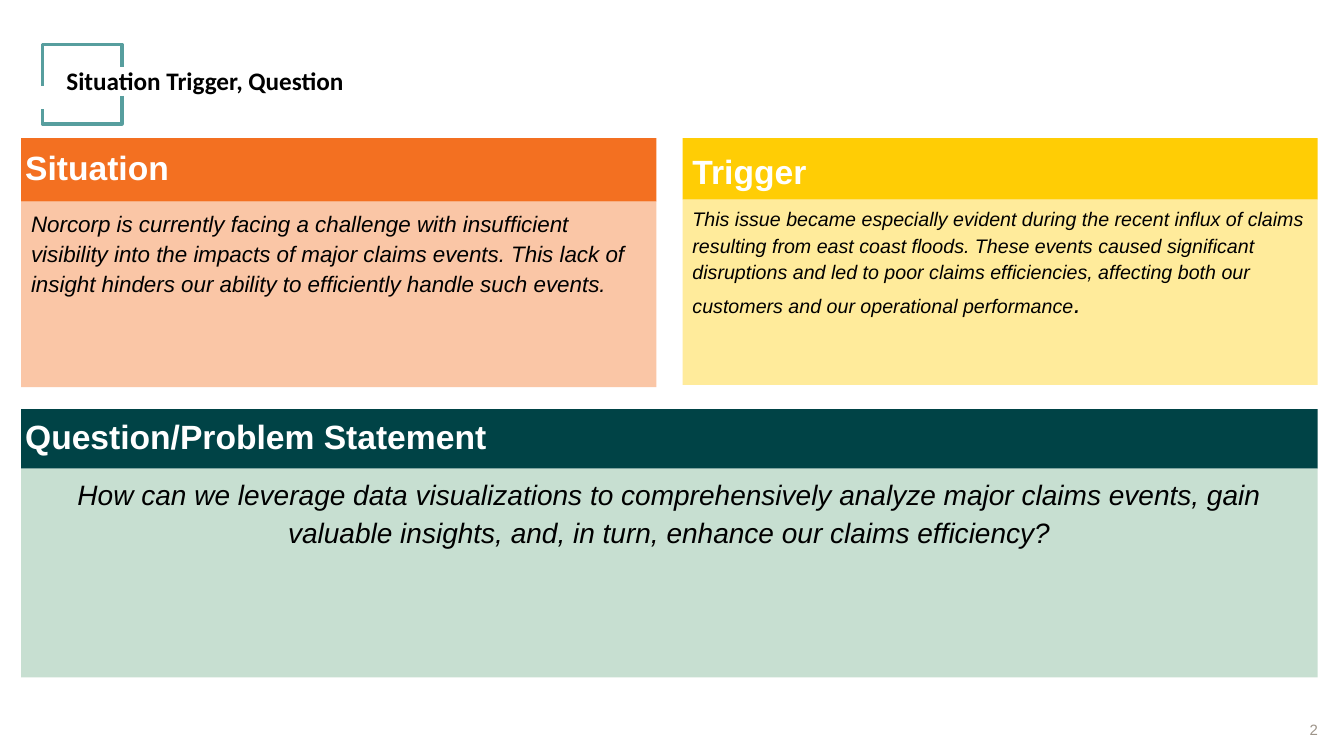
from pptx import Presentation
from pptx.dml.color import RGBColor
from pptx.enum.shapes import MSO_SHAPE
from pptx.enum.text import MSO_ANCHOR, PP_ALIGN
from pptx.util import Inches, Pt

COLORS = {
    "orange": "F37021", "peach": "FAC6A6",
    "yellow": "FFCD05", "cream": "FFEB9B",
    "green": "004346", "mint": "C7DFD1",
    "teal": "579E9E", "grey": "9D9489",
    "black": "000000", "white": "FFFFFF",
}


def color(name):
    return RGBColor.from_string(COLORS[name])


def write(box, text, size, ink, font="Arial", bold=False, italic=False,
          align=PP_ALIGN.LEFT, anchor=MSO_ANCHOR.TOP, margins=(0.1, 0.05)):
    frame = box.text_frame
    frame.word_wrap = True
    frame.vertical_anchor = anchor
    frame.margin_left = frame.margin_right = Inches(margins[0])
    frame.margin_top = frame.margin_bottom = Inches(margins[1])
    para = frame.paragraphs[0]
    para.text = text
    para.alignment = align
    for span in para.runs:
        span.font.name = font
        span.font.size = Pt(size)
        span.font.bold = bold
        span.font.italic = italic
        span.font.color.rgb = color(ink)
    return para


deck = Presentation()
deck.slide_width = Inches(13.33)
deck.slide_height = Inches(7.5)
page = deck.slides.add_slide(deck.slide_layouts[6])

tight, normal = (0.04, 0.04), (0.1, 0.05)
panels = [
    ("Question/Problem Statement", "green", "mint", 0.21, 4.06, 12.86, 0.59, 2.07,
     tight, 0.85, 20, PP_ALIGN.CENTER,
     "How can we leverage data visualizations to comprehensively analyze major claims "
     "events, gain valuable insights, and, in turn, enhance our claims efficiency?"),
    ("Situation", "orange", "peach", 0.21, 1.37, 6.3, 0.63, 1.84,
     tight, 0.85, 16, PP_ALIGN.LEFT,
     "Norcorp is currently facing a challenge with insufficient visibility into the "
     "impacts of major claims events. This lack of insight hinders our ability to "
     "efficiently handle such events."),
    ("Trigger", "yellow", "cream", 6.77, 1.37, 6.3, 0.61, 1.84,
     normal, 1.12, 14, PP_ALIGN.LEFT,
     "This issue became especially evident during the recent influx of claims resulting "
     "from east coast floods. These events caused significant disruptions and led to poor "
     "claims efficiencies, affecting both our customers and our operational performance"),
]
for (heading, dark, light, left, top, width, head_height, body_height,
     margins, spacing, size, align, text) in panels:
    header = page.shapes.add_shape(MSO_SHAPE.RECTANGLE, Inches(left), Inches(top),
                                   Inches(width), Inches(head_height))
    body = page.shapes.add_shape(MSO_SHAPE.RECTANGLE, Inches(left), Inches(top + head_height),
                                 Inches(width), Inches(body_height))
    for box, fill in ((header, dark), (body, light)):
        box.shadow.inherit = False
        box.fill.solid()
        box.fill.fore_color.rgb = color(fill)
        box.line.fill.background()
    para = write(header, heading, 24, "white", bold=True,
                 anchor=MSO_ANCHOR.MIDDLE, margins=margins)
    para.line_spacing = spacing
    para.space_after = Pt(16)
    para = write(body, text, size, "black", italic=True, align=align)
    para.line_spacing = 1.12

full_stop = para.add_run()
full_stop.text = "."
full_stop.font.name = "Arial"
full_stop.font.size = Pt(18.7)
full_stop.font.italic = True
full_stop.font.color.rgb = color("black")

brackets = [
    [(0.42, 0.85), (0.42, 0.44), (1.21, 0.44), (1.21, 0.66)],
    [(1.21, 0.95), (1.21, 1.23), (0.42, 1.23), (0.42, 1.08)],
]
for points in brackets:
    corners = [(Inches(x), Inches(y)) for x, y in points]
    builder = page.shapes.build_freeform(*corners[0])
    builder.add_line_segments(corners[1:], close=False)
    bracket = builder.convert_to_shape()
    bracket.shadow.inherit = False
    bracket.fill.background()
    bracket.line.color.rgb = color("teal")
    bracket.line.width = Pt(2.25)

title = page.shapes.add_textbox(Inches(0.56), Inches(0.6), Inches(3.49), Inches(0.4))
write(title, "Situation Trigger, Question", 18, "black", font="Calibri", bold=True)

number = page.shapes.add_textbox(Inches(12.39), Inches(7.13), Inches(0.68), Inches(0.21))
write(number, "2", 10.7, "grey", align=PP_ALIGN.RIGHT,
      anchor=MSO_ANCHOR.MIDDLE, margins=(0, 0))

deck.save("out.pptx")
